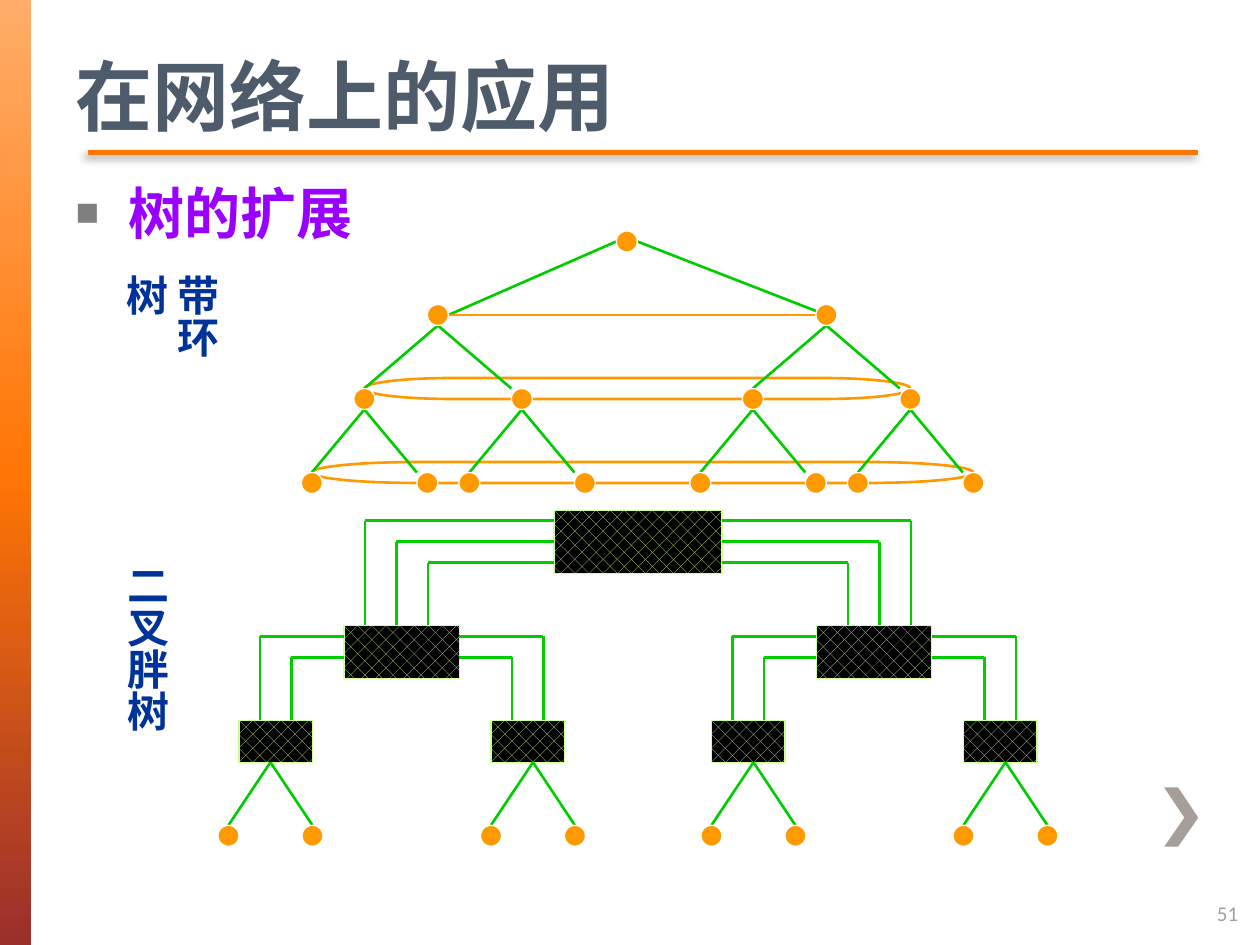
import copy
from dataclasses import dataclass
from typing import Any

import lxml.etree
import pptx
import pptx.dml.color
import pptx.enum.dml
import pptx.enum.shapes
import pptx.enum.text
import pptx.oxml.ns
import pptx.util

RGB = pptx.dml.color.RGBColor
ORANGE = RGB(0xFF, 0x99, 0x00)
GREEN = RGB(0x00, 0xCC, 0x00)
LIME = RGB(0xCC, 0xFF, 0x99)
BLACK = RGB(0, 0, 0)
WHITE = RGB(255, 255, 255)
NAVY = RGB(0x00, 0x33, 0x99)
PURPLE = RGB(0x99, 0x00, 0xFF)
GREY = RGB(0x7F, 0x7F, 0x7F)
SLATE = RGB(0x4D, 0x5B, 0x6B)
TAUPE = RGB(0xA7, 0x9D, 0x99)
PEACH = RGB(0xFF, 0xAD, 0x69)
FLAME = RGB(0xFF, 0x76, 0x05)
BRICK = RGB(0x9A, 0x2F, 0x2C)

FORM = pptx.enum.shapes.MSO_SHAPE
MID = pptx.enum.text.MSO_ANCHOR.MIDDLE
LEFT = pptx.enum.text.PP_ALIGN.LEFT
FIT = pptx.enum.text.MSO_AUTO_SIZE
Inch = pptx.util.Inches
Pt = pptx.util.Pt


@dataclass
class Grid:
    """A group drawn on cells of a twelfth of an inch."""
    group: Any
    left: float
    top: float

    def spot(self, col: float, row: float) -> tuple:
        return Inch(self.left + col / 12), Inch(self.top + row / 12)


@dataclass
class Node:
    col: int
    row: int


def child(tag: str, owner: Any, **attrs: str) -> Any:
    item = lxml.etree.SubElement(owner, pptx.oxml.ns.qn(tag))
    for key, value in attrs.items():
        item.set(key, value)
    return item


def wire(shapes: Any, start: tuple, end: tuple, color: Any, width: float) -> Any:
    line = shapes.add_connector(pptx.enum.shapes.MSO_CONNECTOR.STRAIGHT, *start, *end)
    line.line.color.rgb = color
    line.line.width = Pt(width)
    return child("a:effectLst", line._element.spPr)


def link(grid: Grid, a: tuple, b: tuple, color: Any = GREEN) -> None:
    wire(grid.group.shapes, grid.spot(*a), grid.spot(*b), color, 1.5)


def block(grid: Grid, form: Any, col: int, row: int, wide: int, high: int,
          edge: Any, width: float) -> Any:
    shape = grid.group.shapes.add_shape(
        form, *grid.spot(col, row), Inch(wide / 12), Inch(high / 12))
    shape.shadow.inherit = False
    shape.fill.background()
    shape.line.color.rgb = edge
    shape.line.width = Pt(width)
    return shape


def dot(grid: Grid, node: Node) -> None:
    shape = block(grid, FORM.OVAL, node.col - 1, node.row - 1, 2, 2, WHITE, 0.75)
    shape.fill.solid()
    shape.fill.fore_color.rgb = ORANGE


def switch(grid: Grid, col: int, row: int, wide: int, high: int) -> None:
    fill = block(grid, FORM.RECTANGLE, col, row, wide, high, LIME, 0.75).fill
    fill.patterned()
    fill.pattern = pptx.enum.dml.MSO_PATTERN.PERCENT_25
    fill.fore_color.rgb = LIME
    fill.back_color.rgb = BLACK


def bend(grid: Grid, port: int, drop: int, row: int, foot: int) -> None:
    link(grid, (port, row), (drop, row))
    link(grid, (drop, row), (drop, foot))


def write(shape: Any, text: str, size: int, font: str, color: Any, bold: bool) -> Any:
    frame = shape.text_frame
    frame.text = text
    frame.word_wrap = True
    line = frame.paragraphs[0]
    line.alignment = LEFT
    line.space_before = Pt(0)
    face = line.runs[0].font
    face.size, face.name, face.bold = Pt(size), font, bold
    face.color.rgb = color
    return frame


def label(group: Any, text: str, *box: float) -> None:
    frame = write(group.shapes.add_textbox(*map(Inch, box)), text, 24,
                  "Times New Roman", NAVY, True)
    frame.auto_size = FIT.SHAPE_TO_FIT_TEXT
    frame._txBody.bodyPr.set("vert", "eaVert")


def place(shape: Any, *box: float) -> None:
    shape.left, shape.top, shape.width, shape.height = map(Inch, box)
    shape.text_frame.auto_size = FIT.NONE
    shape.text_frame.vertical_anchor = MID


def frame_page(shapes: Any) -> None:
    # Gradient side band
    band = shapes.add_shape(FORM.RECTANGLE, 0, 0, Inch(0.25), Inch(7.5))
    band.shadow.inherit = False
    band.line.fill.background()
    band.fill.gradient()
    stops = band._element.xpath(".//a:gsLst")[0]
    stops.append(copy.deepcopy(stops[0]))
    for stop, spot, color in zip(band.fill.gradient_stops, (0, 0.5, 1),
                                 (PEACH, FLAME, BRICK)):
        stop.position = spot
        stop.color.rgb = color
    band.fill.gradient_angle = 270

    # Chevron, in hundredths of an inch
    pen = shapes.build_freeform(935, 625, scale=9144)
    pen.add_line_segments([(924, 625), (940, 649), (924, 672), (935, 672), (951, 649)])
    arrow = pen.convert_to_shape()
    arrow.shadow.inherit = False
    arrow.fill.solid()
    arrow.fill.fore_color.rgb = TAUPE
    arrow.line.fill.background()

    # Rule under the title, with its shadow
    effect = wire(shapes, (Inch(0.7), Inch(1.21)), (Inch(9.51), Inch(1.21)), FLAME, 2.5)
    shade = child("a:outerShdw", effect, blurRad=str(Pt(5)), dist=str(Pt(3)),
                  dir="8100000", algn="tr", rotWithShape="0")
    child("a:alpha", child("a:srgbClr", shade, val=str(BLACK)), val="45000")


def draw_ring(shapes: Any) -> None:
    grid = Grid(shapes.add_group_shape(), -0.025, 0)
    root = Node(60, 23)
    arms = [Node(42, 30), Node(79, 30)]
    limbs = [Node(arm.col + step, 38) for arm in arms for step in (-7, 8)]
    leaves = [Node(limb.col + step, 46) for limb in limbs for step in (-5, 6)]
    for row in (limbs, leaves):
        first, last = row[0], row[-1]
        block(grid, FORM.FLOWCHART_TERMINATOR, first.col, first.row - 2,
              last.col - first.col, 2, ORANGE, 1.5)
    link(grid, (59, 23), (43, 30))
    link(grid, (61, 23), (79, 30))
    link(grid, (78, 30), (43, 30), ORANGE)
    for tops, ends in ((arms, limbs), (limbs, leaves)):
        for i, end in enumerate(ends):
            top = tops[i // 2]
            link(grid, (top.col, top.row + 1), (end.col - i % 2, end.row - 1))
    for node in [root, *arms, *limbs, *leaves]:
        dot(grid, node)
    label(grid.group, "带环树", 1.2, 2.08, 0.61, 1.17)


def draw_fat(shapes: Any) -> None:
    grid = Grid(shapes.add_group_shape(), -0.02, 0.05)
    switch(grid, 53, 48, 16, 6)
    for i in range(3):
        bend(grid, 53, 35 + 3 * i, 49 + 2 * i, 59)
        bend(grid, 69, 87 - 3 * i, 49 + 2 * i, 59)
    for hub in (33, 78):
        switch(grid, hub, 59, 11, 5)
        for i in range(2):
            bend(grid, hub, hub - 8 + 3 * i, 60 + 2 * i, 68)
            bend(grid, hub + 11, hub + 19 - 3 * i, 60 + 2 * i, 68)
    for col, apex in ((23, 26), (47, 51), (68, 72), (92, 96)):
        switch(grid, col, 68, 7, 4)
        for end in (apex - 4, apex + 4):
            link(grid, (apex, 72), (end, 78))
            dot(grid, Node(end, 79))
    label(grid.group, "二叉胖树", 0.81, 4.38, 0.61, 1.58)


def main() -> None:
    deck = pptx.Presentation()
    deck.slide_width, deck.slide_height = Inch(10), Inch(7.5)
    slide = deck.slides.add_slide(deck.slide_layouts[1])
    shapes = slide.shapes
    frame_page(shapes)
    draw_ring(shapes)
    draw_fat(shapes)

    # Title and list
    place(shapes.title, 0.5, 0.36, 9, 0.79)
    write(shapes.title, "在网络上的应用", 44, "Calibri", SLATE, True)
    body = slide.placeholders[1]
    place(body, 0, 1.39, 9.43, 0.59)
    body.text_frame.text = "树的扩展"
    props = body.text_frame.paragraphs[0]._p.get_or_add_pPr()
    props.set("marL", str(Inch(0.92)))
    props.set("indent", str(Inch(-0.42)))
    child("a:srgbClr", child("a:buClr", props), val=str(GREY))
    child("a:buSzPct", props, val="70000")
    child("a:buFont", props, typeface="Arial")
    child("a:buChar", props, char="■")
    face = body.text_frame.paragraphs[0].runs[0].font
    face.size, face.name, face.bold = Pt(32), "Times New Roman", True
    face.color.rgb = PURPLE

    # Page number
    page = shapes.add_textbox(*map(Inch, (9.56, 7.05, 0.42, 0.4)))
    write(page, "51", 12, "Calibri", TAUPE, False).vertical_anchor = MID
    deck.save("out.pptx")


if __name__ == "__main__":
    main()
